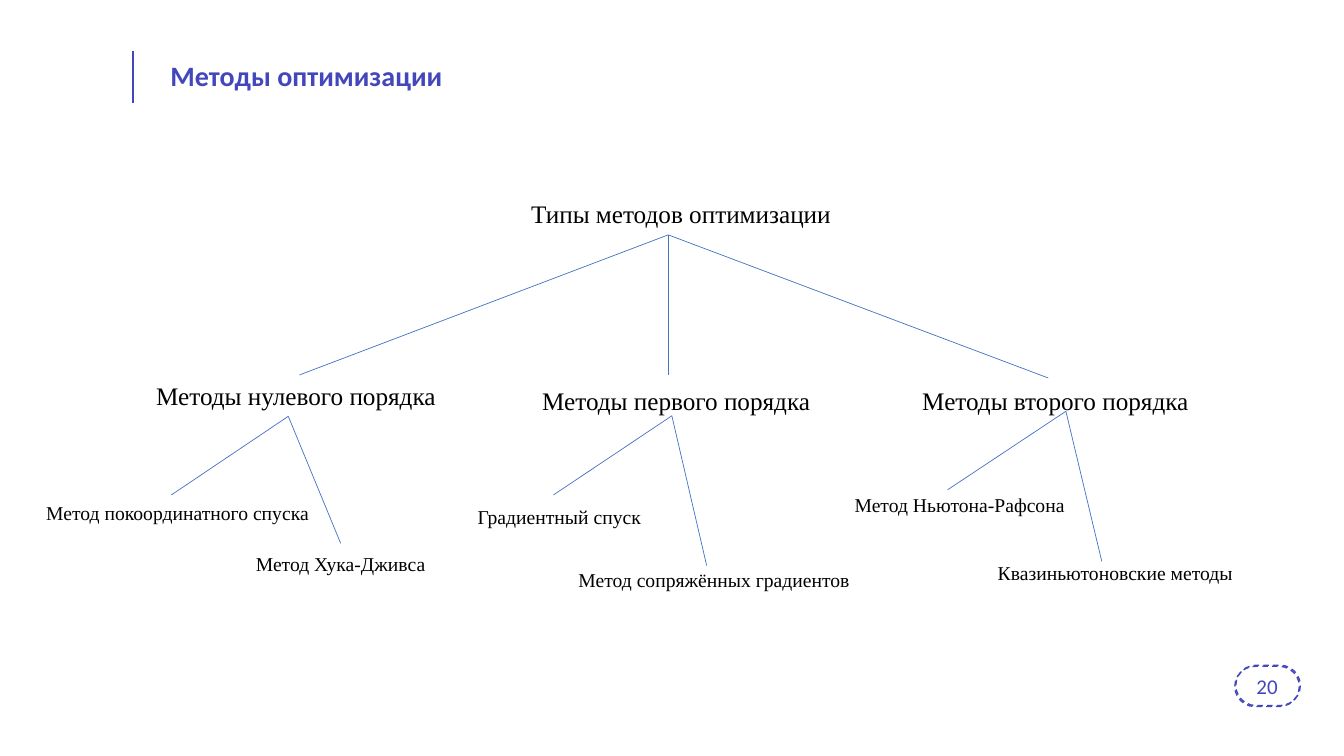
from dataclasses import dataclass

from lxml import etree
from pptx import Presentation
from pptx.dml.color import RGBColor
from pptx.enum.dml import MSO_LINE
from pptx.enum.shapes import MSO_CONNECTOR, MSO_SHAPE
from pptx.enum.text import MSO_ANCHOR, PP_ALIGN
from pptx.oxml.ns import qn
from pptx.util import Inches, Pt

STRAIGHT = MSO_CONNECTOR.STRAIGHT
ROUNDED = MSO_SHAPE.ROUNDED_RECTANGLE
DASH = MSO_LINE.DASH
MIDDLE = MSO_ANCHOR.MIDDLE
LEFT, CENTER = PP_ALIGN.LEFT, PP_ALIGN.CENTER

INDIGO = RGBColor(0x44, 0x47, 0xBB)
BLUE = RGBColor(0x44, 0x72, 0xC4)
BLACK = RGBColor(0, 0, 0)
HEADING_FONT = "Calibri"
TREE_FONT = "Times New Roman"
TITLE_ONLY = 5

WIDTH, HEIGHT = Inches(13.333), Inches(7.5)
LABEL_WIDTH = 25
LABEL_HEIGHTS = {(18, 1): 5.33, (18, 1.5): 6.8, (14, 1): 4.53, (14, 1.5): 5.47}


@dataclass
class Node:
    text: str
    left: float
    top: float
    spacing: float = 1
    entry: tuple = ()
    fork: tuple = ()
    children: tuple = ()


TREE = Node("Типы методов оптимизации", 38.78, 25.6, fork=(49.72, 31.07), children=(
    Node("Методы нулевого порядка", 10.88, 49.6, 1, (22.28, 49.6), (21.45, 55.07), (
        Node("Метод покоординатного спуска", 2.7, 64, 1.5, (12.75, 65.47)),
        Node("Метод Хука-Дживса", 18.3, 70.8, 1.5, (25.35, 71.87)),
    )),
    Node("Методы первого порядка", 39.6, 48.27, 1.5, (49.72, 49.6), (49.99, 55), (
        Node("Градиентный спуск", 34.8, 64.53, 1.5, (41.18, 65.47)),
        Node("Метод сопряжённых градиентов", 42.3, 72.93, 1.5, (52.58, 74.8)),
    )),
    Node("Методы второго порядка", 67.88, 48.27, 1.5, (78, 50), (79.31, 54.4), (
        Node("Метод Ньютона-Рафсона", 62.85, 64.53, 1, (70.5, 64.8)),
        Node("Квазиньютоновские методы", 73.5, 73.6, 1, (81.98, 74.27)),
    )),
))


def across(percent):
    return int(WIDTH * percent / 100)


def down(percent):
    return int(HEIGHT * percent / 100)


def box(left, top, width, height):
    return across(left), down(top), across(width), down(height)


def write(shape, text, font, size, color, bold=False, align=LEFT, spacing=1):
    shape.text_frame.text = text
    paragraph = shape.text_frame.paragraphs[0]
    paragraph.alignment = align
    paragraph.line_spacing = spacing
    run_font = paragraph.runs[0].font
    run_font.name, run_font.size, run_font.bold = font, Pt(size), bold
    run_font.color.rgb = color


def add_line(slide, start, end, color, weight):
    line = slide.shapes.add_connector(
        STRAIGHT, across(start[0]), down(start[1]), across(end[0]), down(end[1]))
    line.line.color.rgb = color
    line.line.width = Pt(weight)
    etree.SubElement(line._element.spPr, qn("a:effectLst"))


def add_title(slide, text):
    title = slide.shapes.title
    title.left, title.top, title.width, title.height = box(11.93, 5.2, 84.83, 10)
    title.text_frame.vertical_anchor = MIDDLE
    write(title, text, HEADING_FONT, 20, INDIGO, bold=True, spacing=0.9)


def add_badge(slide, left, top):
    badge = slide.shapes.add_shape(ROUNDED, *box(left, top, 4.8, 5.33))
    badge.adjustments[0] = 0.5
    badge.shadow.inherit = False
    badge.fill.background()
    badge.line.color.rgb = INDIGO
    badge.line.width = Pt(1)
    badge.line.dash_style = DASH
    return badge


def add_page_number(slide, number):
    add_badge(slide, 91.95, 88)
    badge = add_badge(slide, 91.88, 88.13)
    badge.text_frame.vertical_anchor = MIDDLE
    write(badge, number, HEADING_FONT, 15, INDIGO, align=CENTER)


def add_node(slide, node):
    size = 18 if node.children else 14
    height = LABEL_HEIGHTS[size, node.spacing]
    label = slide.shapes.add_textbox(*box(node.left, node.top, LABEL_WIDTH, height))
    label.text_frame.word_wrap = True
    write(label, node.text, TREE_FONT, size, BLACK, spacing=node.spacing)
    for child in node.children:
        add_line(slide, node.fork, child.entry, BLUE, 0.5)
        add_node(slide, child)


def main():
    presentation = Presentation()
    presentation.slide_width, presentation.slide_height = WIDTH, HEIGHT
    slide = presentation.slides.add_slide(presentation.slide_layouts[TITLE_ONLY])
    add_line(slide, (9.9, 6.8), (9.9, 13.6), INDIGO, 1.5)
    add_title(slide, "Методы оптимизации")
    add_page_number(slide, "20")
    add_node(slide, TREE)
    presentation.save("out.pptx")


if __name__ == "__main__":
    main()
